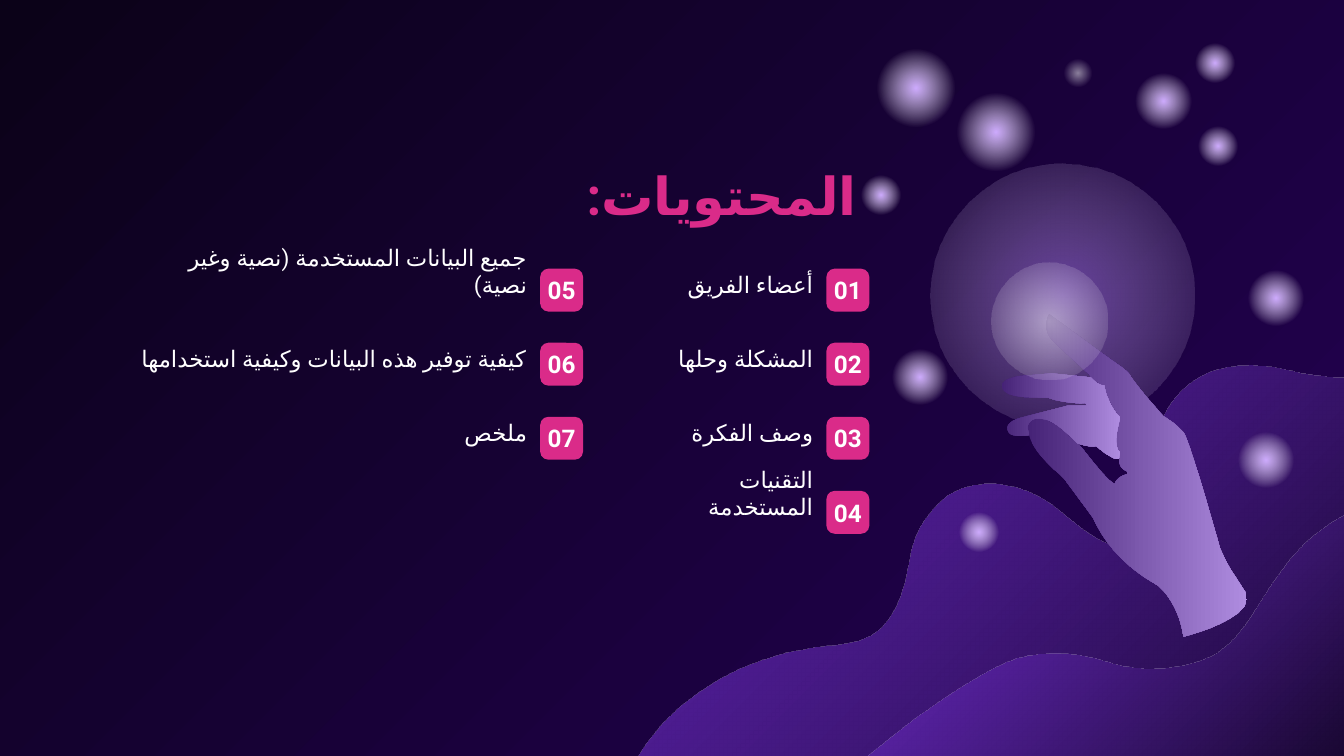
import lxml.etree
import pptx
import pptx.dml.color
import pptx.enum.shapes
import pptx.enum.text
import pptx.oxml
import pptx.oxml.ns
import pptx.util

Cm = pptx.util.Cm
ALIGN = pptx.enum.text.PP_ALIGN
ANCHOR = pptx.enum.text.MSO_ANCHOR
SHAPE = pptx.enum.shapes.MSO_SHAPE

FONT, PINK, WHITE = "Roboto", "DA2B89", "FFFFFF"
NIGHT, INDIGO, LILAC = "0B0218", "240155", "CEABFF"
INSET = 0.25
PITCH, BADGE = 1.4, 0.81

# Gradient stops: position %, colour, opacity %
WAVE = [(0, NIGHT, 100), (100, "8134EC", 70)]
SKIN = [(0, "462377", 100), (100, "AF8CE0", 100)]


def fade(color, opacity, end):
    stops = [(0, color, opacity), (end, WHITE, 0)]
    return stops if end == 100 else stops + [(100, WHITE, 0)]


# Outlines in hundredths of an inch: a start point, then rows that are
# one point (line) or two controls and an end point (curve)
BACK_WAVE = [
    (1042, 265), (1033, 271, 1021, 278, 1011, 280), (995, 283, 979, 280, 963, 277),
    (952, 274, 940, 272, 929, 272), (901, 272, 877, 285, 865, 311),
    (853, 338, 870, 368, 853, 394), (834, 423, 805, 393, 787, 379),
    (767, 363, 733, 352, 708, 367), (697, 374, 687, 386, 682, 398),
    (676, 412, 676, 427, 671, 441), (667, 453, 658, 469, 645, 474),
    (631, 480, 616, 480, 602, 482), (543, 491, 487, 527, 464, 583),
    (461, 590, 457, 601, 458, 609), (1084, 609), (1075, 227),
    (1071, 240, 1053, 257, 1042, 265)]
FRONT_WAVE = [
    (994, 387), (972, 400, 959, 416, 945, 437), (933, 455, 923, 475, 904, 487),
    (883, 498, 852, 501, 828, 494), (804, 486, 774, 482, 749, 493),
    (724, 504, 701, 521, 678, 537), (664, 548, 650, 559, 636, 571),
    (1074, 571), (1075, 368), (1070, 367, 1065, 366, 1059, 366),
    (1037, 366, 1012, 376, 994, 387)]
HAND = [
    (881, 322), (886, 329, 908, 408, 908, 408), (915, 424, 917, 425, 927, 441),
    (937, 460, 881, 474, 881, 474), (877, 447, 862, 436, 862, 436),
    (825, 416, 814, 386, 814, 386), (814, 386, 800, 367, 794, 359),
    (792, 356, 789, 353, 785, 350), (778, 343, 769, 335, 766, 324), (766, 322),
    (763, 317, 767, 313, 770, 312), (772, 311, 775, 312, 777, 312),
    (785, 313, 796, 324, 802, 330), (805, 333), (828, 363, 830, 360, 830, 360),
    (831, 355, 839, 353, 839, 353), (839, 351), (834, 349, 833, 345, 833, 342),
    (833, 339, 834, 337, 834, 337), (827, 332, 834, 311, 834, 311),
    (824, 301, 822, 287, 822, 287), (818, 287, 814, 283, 812, 281), (811, 279),
    (811, 279, 788, 258, 783, 253), (775, 244, 781, 234, 781, 234), (796, 245),
    (796, 245, 823, 265, 826, 267), (830, 270, 838, 275, 841, 279),
    (843, 284, 866, 310, 866, 310), (875, 315, 880, 321, 881, 322)]
FINGERS = [
    (834, 311), (834, 311, 827, 332, 834, 337), (834, 337, 833, 339, 833, 342),
    (827, 342, 816, 332, 816, 332), (813, 333, 808, 332, 802, 330),
    (796, 324, 785, 313, 777, 312), (775, 312, 772, 311, 770, 312),
    (767, 313, 763, 317, 766, 322), (766, 324), (758, 325, 751, 325, 750, 320),
    (748, 314, 760, 311, 760, 311), (795, 302), (809, 302), (808, 300),
    (804, 301, 787, 299, 780, 296), (764, 296, 749, 296, 746, 289),
    (743, 282, 759, 280, 759, 280), (783, 278), (812, 281),
    (814, 283, 818, 287, 822, 287), (822, 287, 824, 301, 834, 311)]

# Small glows: centre x, centre y, diameter in cm
GLOWS = [
    (17.32, 1.66, 1.83), (18.83, 2.49, 1.83),
    (21.99, 1.92, 1.3), (17.39, 7.13, 1.3), (23.93, 8.7, 1.3), (24.12, 5.63, 1.3),
    (22.96, 1.2, 0.92), (18.51, 10.06, 0.92), (16.65, 3.68, 0.92), (23.02, 2.77, 0.92)]

# Contents: number, wording, width of the text box in cm
FIRST = [("01", "أعضاء الفريق", 3.56), ("02", "المشكلة وحلها", 3.56),
         ("03", "وصف الفكرة", 4.22), ("04", "التقنيات المستخدمة", 3.56)]
SECOND = [("05", "جميع البيانات المستخدمة (نصية وغير نصية)", 7.98),
          ("06", "كيفية توفير هذه البيانات وكيفية استخدامها", 9.12),
          ("07", "ملخص", 4.37)]


def rgb(value):
    return pptx.dml.color.RGBColor.from_string(value)


def set_gradient(sp, stops, angle=None):
    """Linear gradient at an angle, or a circular one without it."""
    sp.shadow.inherit = False
    sp.line.fill.background()
    sp.fill.gradient()
    grad = sp.fill._xPr.find(pptx.oxml.ns.qn("a:gradFill"))
    for child in list(grad):
        grad.remove(child)
    marks = "".join(
        f'<a:gs pos="{pos * 1000}"><a:srgbClr val="{color}">'
        f'<a:alpha val="{opacity * 1000}"/></a:srgbClr></a:gs>'
        for pos, color, opacity in stops)
    if angle is None:
        shade = ('<a:path path="circle"><a:fillToRect l="50000" t="50000" '
                 'r="50000" b="50000"/></a:path>')
    else:
        shade = f'<a:lin ang="{angle * 60000}" scaled="0"/>'
    ns = pptx.oxml.ns.nsdecls("a")
    for child in pptx.oxml.parse_xml(f"<a:x {ns}><a:gsLst>{marks}</a:gsLst>{shade}</a:x>"):
        grad.append(child)


def trace(outline, steps=10):
    """Turn an outline into points in thousandths of an inch."""
    points = [outline[0]]
    for row in outline[1:]:
        if len(row) == 2:
            points.append(row)
            continue
        p0, p1, p2, p3 = points[-1], row[:2], row[2:4], row[4:]
        for i in range(1, steps + 1):
            t = i / steps
            u = 1 - t
            points.append(tuple(
                u**3 * a + 3 * u * u * t * b + 3 * u * t * t * c + t**3 * d
                for a, b, c, d in zip(p0, p1, p2, p3)))
    return [(x * 10, y * 10) for x, y in points]


def add_outline(s, left, top, outline, stops, angle):
    points = trace(outline)
    builder = s.shapes.build_freeform(*points[0], scale=Cm(0.00254))
    builder.add_line_segments(points[1:], close=True)
    set_gradient(builder.convert_to_shape(Cm(left), Cm(top)), stops, angle)


def add_glow(s, left, top, glow, stops):
    x, y, d = glow
    sp = s.shapes.add_shape(SHAPE.OVAL, Cm(left + x - d / 2), Cm(top + y - d / 2), Cm(d), Cm(d))
    set_gradient(sp, stops)


def write(sp, text, size, color, bold=False, rtl=True, side=INSET):
    tf = sp.text_frame
    frame = {"word_wrap": True, "margin_left": Cm(side), "margin_right": Cm(side),
             "margin_top": Cm(INSET), "margin_bottom": Cm(INSET),
             "vertical_anchor": ANCHOR.BOTTOM if rtl else ANCHOR.MIDDLE}
    for name, value in frame.items():
        setattr(tf, name, value)
    p = tf.paragraphs[0]
    p.alignment = ALIGN.RIGHT if rtl else ALIGN.CENTER
    r = p.add_run()
    r.text = text
    for name, value in {"name": FONT, "size": pptx.util.Pt(size), "bold": bold}.items():
        setattr(r.font, name, value)
    r.font.color.rgb = rgb(color)
    if rtl:
        p._p.get_or_add_pPr().set("rtl", "1")
        r._r.rPr.set("lang", "ar-SA")
        lxml.etree.SubElement(r._r.rPr, pptx.oxml.ns.qn("a:cs")).set("typeface", FONT)


def add_background(s):
    fill = s.background.fill
    fill.gradient()
    fill.gradient_angle = 315
    for stop, color, position in zip(fill.gradient_stops, (NIGHT, INDIGO), (0, 1)):
        stop.color.rgb = rgb(color)
        stop.position = position


def add_illustration(s, left, top):
    for wave in (BACK_WAVE, FRONT_WAVE):
        add_outline(s, left, top, wave, WAVE, 225)
    for glow in GLOWS:
        add_glow(s, left, top, glow, fade(LILAC, 100, 57))
    add_glow(s, left, top, (20.38, 1.38, 0.66), fade(WHITE, 50, 57))
    # Halo behind the hand, bright core in front of it
    add_glow(s, left, top, (20.08, 5.59, 4.98), fade("B47FFF", 50, 100))
    for part in (HAND, FINGERS):
        add_outline(s, left, top, part, SKIN, 0)
    add_glow(s, left, top, (19.83, 6.07, 2.2), fade(WHITE, 50, 100))


def add_title(s, left, top, width, height):
    sp = s.shapes.add_textbox(Cm(left), Cm(top), Cm(width), Cm(height))
    write(sp, "المحتويات:", 28, PINK, bold=True)


def add_contents_column(s, left, top, items):
    """Badges start at left; each text box ends there."""
    for i, (number, text, width) in enumerate(items):
        y = Cm(top + i * PITCH)
        sp = s.shapes.add_textbox(Cm(left - width), y, Cm(width), Cm(BADGE))
        write(sp, text, 12.2, WHITE)
        sp = s.shapes.add_shape(SHAPE.ROUNDED_RECTANGLE, Cm(left), y, Cm(BADGE), Cm(BADGE))
        sp.adjustments[0] = 0.19
        sp.shadow.inherit = False
        sp.fill.solid()
        sp.fill.fore_color.rgb = rgb(PINK)
        sp.line.fill.background()
        write(sp, number, 13, WHITE, bold=True, rtl=False, side=0)


def main():
    prs = pptx.Presentation()
    prs.slide_width, prs.slide_height = Cm(25.4), Cm(14.29)
    s = prs.slides.add_slide(prs.slide_layouts[6])
    add_background(s)
    add_illustration(s, 0, 0)
    add_title(s, 4.04, 3.02, 12.4, 1.5)
    add_contents_column(s, 15.62, 5.08, FIRST)
    add_contents_column(s, 10.21, 5.08, SECOND)
    prs.save("out.pptx")


if __name__ == "__main__":
    main()
